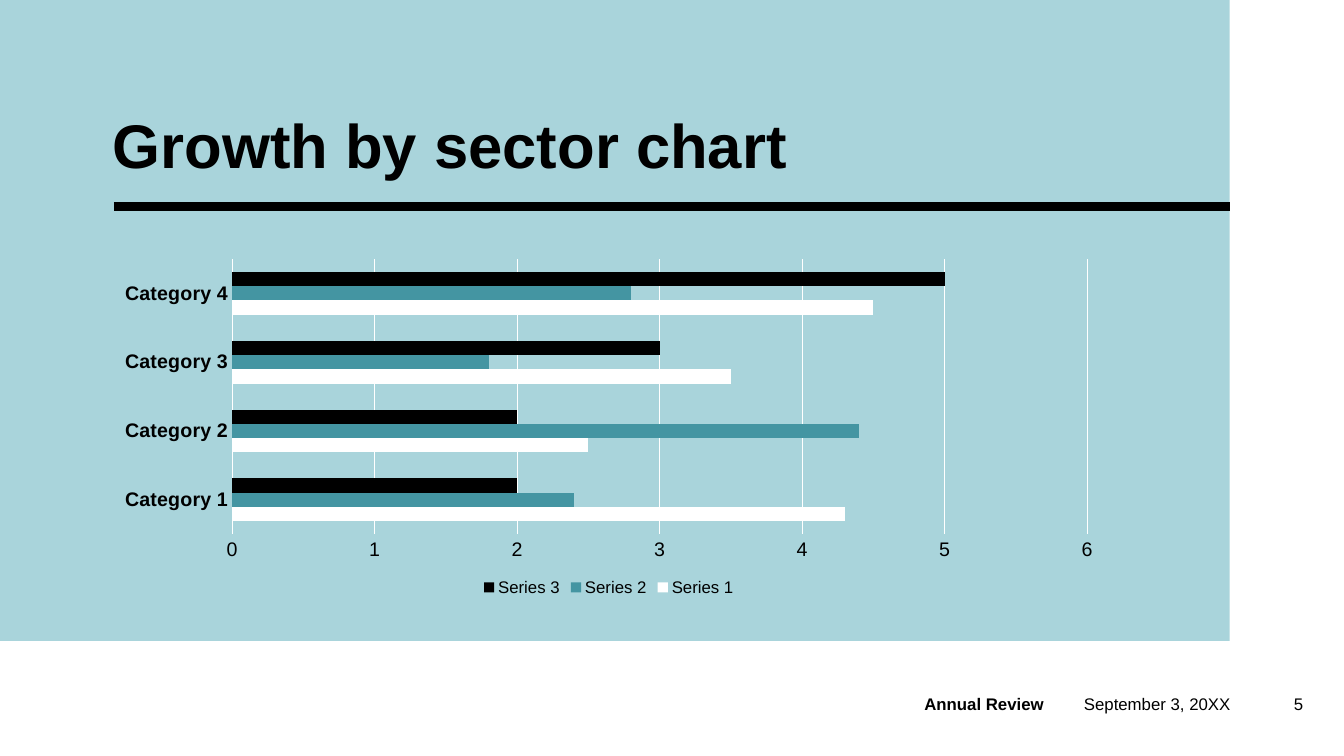
from pptx import Presentation
from pptx.chart.data import CategoryChartData
from pptx.dml.color import RGBColor
from pptx.enum.chart import XL_CHART_TYPE, XL_LEGEND_POSITION, XL_TICK_MARK
from pptx.enum.shapes import MSO_CONNECTOR, MSO_SHAPE
from pptx.enum.text import MSO_ANCHOR, MSO_AUTO_SIZE, PP_ALIGN
from pptx.oxml.ns import qn
from pptx.util import Inches, Pt
from lxml.etree import SubElement

BLACK, WHITE, TEAL, PALE = "000000", "FFFFFF", "4495A2", "A9D4DB"
CATEGORIES = [f"Category {n}" for n in range(1, 5)]
SERIES = [
    ("Series 1", (4.3, 2.5, 3.5, 4.5), WHITE),
    ("Series 2", (2.4, 4.4, 1.8, 2.8), TEAL),
    ("Series 3", (2, 2, 3, 5), BLACK),
]


def rgb(value):
    return RGBColor.from_string(value)


class Deck:
    """Style and current slide; lengths are percentages of the slide's size."""

    font = "Arial"

    def __init__(self, prs):
        self.prs = prs
        self.s = prs.slides.add_slide(prs.slide_layouts[5])

    def box(self, x, y, w, h):
        width, height = self.prs.slide_width, self.prs.slide_height
        return [round(v * side / 100) for v, side in ((x, width), (y, height), (w, width), (h, height))]

    def style(self, font, size, bold=False):
        font.name, font.size, font.bold = self.font, Pt(size), bold
        font.color.rgb = rgb(BLACK)

    def fill_frame(self, tf, text, size, bold, align, anchor, insets):
        tf.text = text
        tf.word_wrap, tf.auto_size, tf.vertical_anchor = True, MSO_AUTO_SIZE.NONE, anchor
        tf.margin_left = tf.margin_right = Inches(insets[0])
        tf.margin_top = tf.margin_bottom = Inches(insets[1])
        p = tf.paragraphs[0]
        p.alignment = align
        self.style(p.runs[0].font, size, bold)
        return p

    def panel(self, x, y, w, h, color):
        sp = self.s.shapes.add_shape(MSO_SHAPE.RECTANGLE, *self.box(x, y, w, h))
        sp.shadow.inherit = False
        sp.fill.solid()
        sp.fill.fore_color.rgb = rgb(color)
        sp.line.fill.background()

    def rule(self, x1, x2, y, color, width):
        left, top, right, _ = self.box(x1, y, x2, 0)
        sp = self.s.shapes.add_connector(MSO_CONNECTOR.STRAIGHT, left, top, right, top)
        sp.line.color.rgb, sp.line.width = rgb(color), Pt(width)
        SubElement(sp.element.spPr, qn("a:effectLst"))

    def title(self, text, x, y, w, h):
        sp = self.s.shapes.title
        sp.element.getparent().append(sp.element)
        sp.left, sp.top, sp.width, sp.height = self.box(x, y, w, h)
        p = self.fill_frame(sp.text_frame, text, 44, True, PP_ALIGN.LEFT, MSO_ANCHOR.BOTTOM, (0, 0))
        p.line_spacing = 0.9

    def footer(self, text, x, w, bold=False, align=PP_ALIGN.LEFT, inset=0.1):
        sp = self.s.shapes.add_textbox(*self.box(x, 91.7, w, 2.7))
        self.fill_frame(sp.text_frame, text, 12, bold, align, MSO_ANCHOR.MIDDLE, (inset, 0.05))

    def bar_chart(self, x, y, w, h, categories, series):
        data = CategoryChartData()
        data.categories = categories
        for name, values, _ in series:
            data.add_series(name, values)
        frame = self.s.shapes.add_chart(XL_CHART_TYPE.BAR_CLUSTERED, *self.box(x, y, w, h), data)
        chart = frame.chart
        chart.has_title = False
        self.style(chart.font, 10)
        plot = chart.plots[0]
        plot.gap_width, plot.overlap, plot.vary_by_categories = 182, 0, False
        for ser, (_, _, color) in zip(plot.series, series):
            ser.format.fill.solid()
            ser.format.fill.fore_color.rgb = rgb(color)
        cat, val = chart.category_axis, chart.value_axis
        for axis in (cat, val):
            axis.major_tick_mark = axis.minor_tick_mark = XL_TICK_MARK.NONE
            self.style(axis.tick_labels.font, 14, axis is cat)
        cat.has_major_gridlines, val.has_major_gridlines = False, True
        for line in (cat.format.line, val.major_gridlines.format.line):
            line.color.rgb, line.width = rgb(WHITE), Pt(0.75)
        val.format.line.fill.background()
        val.minimum_scale, val.maximum_scale, val.major_unit = 0, 6, 1
        chart.has_legend = True
        chart.legend.position = XL_LEGEND_POSITION.BOTTOM
        chart.legend.include_in_layout = False
        self.style(chart.legend.font, 12)


prs = Presentation()
prs.slide_width, prs.slide_height = Inches(13.33), Inches(7.5)
deck = Deck(prs)
deck.panel(0, 0, 91.5, 84.8, PALE)
deck.rule(8.48, 91.5, 27.33, BLACK, 6)
deck.title("Growth by sector chart", 8.4, 14.5, 64, 9.5)
deck.bar_chart(7.8, 33.33, 75, 46.1, CATEGORIES, SERIES)
deck.footer("September 3, 20XX", 80.65, 12.5, inset=0)
deck.footer("Annual Review", 68.04, 12, bold=True)
deck.footer("5", 94.3, 3.4, align=PP_ALIGN.RIGHT)
prs.save("out.pptx")
